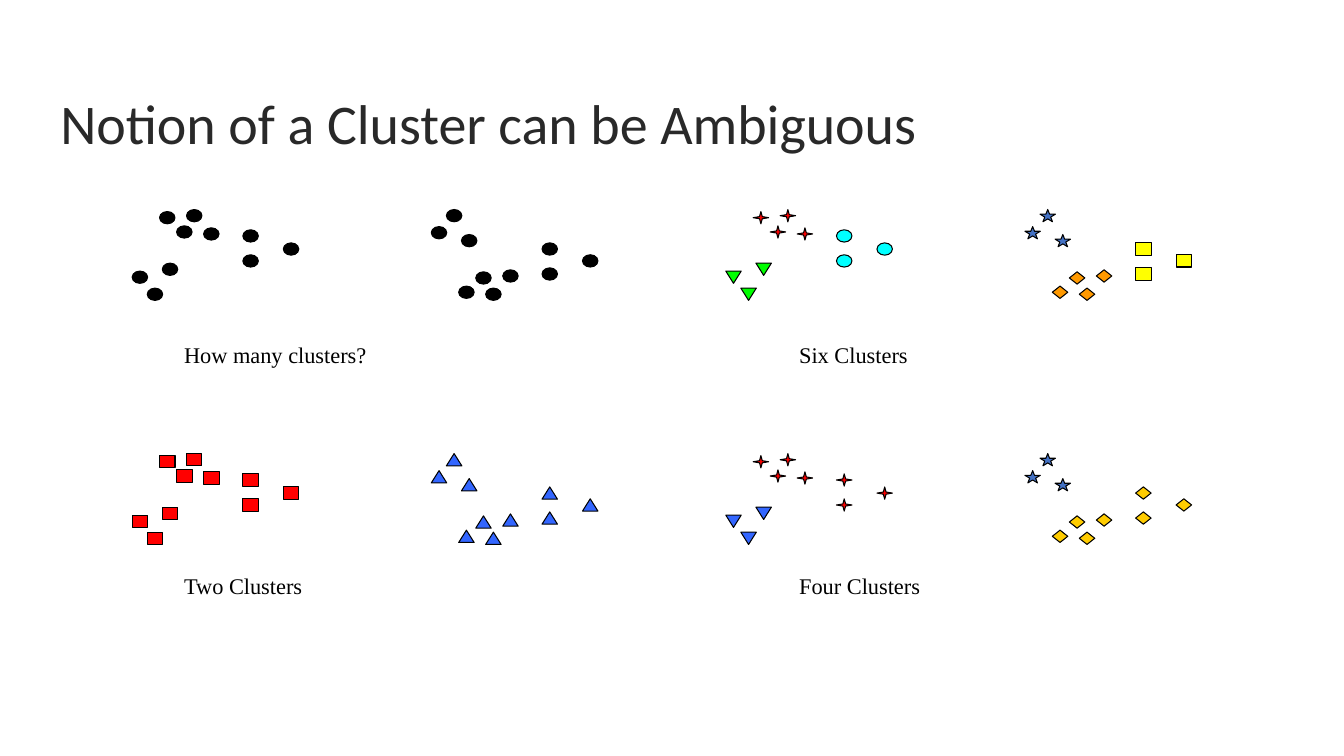
import pptx
import pptx.util
import pptx.dml.color
import pptx.enum.shapes
import pptx.enum.text

Cm = pptx.util.Cm
Pt = pptx.util.Pt
SHAPE = pptx.enum.shapes.MSO_SHAPE
ANCHOR = pptx.enum.text.MSO_ANCHOR
FIT = pptx.enum.text.MSO_AUTO_SIZE

COLORS = {
    "title": "292929", "black": "000000", "red": "FF0000", "blue": "3366FF",
    "steel": "4472C4", "gold": "FFCC00", "orange": "FF9900",
    "yellow": "FFFF00", "green": "00FF00", "cyan": "00FFFF",
}

TITLE = "Notion of a Cluster can be Ambiguous"

# Point positions in cm, by natural cluster, from the corner of a cloud
CLOUD = {
    "near": [(1.8, 0.46), (0.69, 0.05), (1.37, 0), (1.12, 0.41)],
    "corner": [(0.76, 1.35), (0, 1.55), (0.38, 1.98)],
    "far": [(2.79, 0.51), (3.81, 0.84), (2.79, 1.14)],
}
CLOUD_HEIGHT = 1.98
CLOUD_STEP = 7.54
MARKER_WIDTH, MARKER_HEIGHT = 0.39, 0.31

# Markers: (shape, colour)
DOT = (SHAPE.OVAL, "black")
SQUARE = (SHAPE.RECTANGLE, "red")
TRIANGLE = (SHAPE.ISOSCELES_TRIANGLE, "blue")
SPARK = (SHAPE.STAR_4_POINT, "red")
STAR = (SHAPE.STAR_5_POINT, "steel")
GOLD_DIAMOND = (SHAPE.DIAMOND, "gold")

# Panels: caption, column, row, markers (near, corner, far) of both clouds
PANELS = [
    ("How many clusters?", 0, 0, (DOT, DOT, DOT), (DOT, DOT, DOT)),
    ("Six Clusters", 1, 0,
     (SPARK, (SHAPE.ISOSCELES_TRIANGLE, "green"), (SHAPE.OVAL, "cyan")),
     ((SHAPE.DIAMOND, "orange"), STAR, (SHAPE.RECTANGLE, "yellow"))),
    ("Two Clusters", 0, 1, (SQUARE,) * 3, (TRIANGLE,) * 3),
    ("Four Clusters", 1, 1,
     (SPARK, (SHAPE.FLOWCHART_EXTRACT, "blue"), SPARK),
     (GOLD_DIAMOND, STAR, GOLD_DIAMOND)),
]
PANEL_LEFTS, PANEL_TOPS = (3.33, 18.29), (5.28, 11.43)
CAPTION_LEFTS, CAPTION_TOPS = (4.39, 19.89), (8.46, 14.3)


def color(name):
    return pptx.dml.color.RGBColor.from_string(COLORS[name])


def add_text(shapes, text, left, top, width, height, *, font, size, fill,
             anchor=ANCHOR.TOP, fit=FIT.NONE, spacing=1.0):
    box = shapes.add_textbox(Cm(left), Cm(top), Cm(width), Cm(height))
    frame = box.text_frame
    frame.word_wrap = True
    frame.auto_size = fit
    frame.vertical_anchor = anchor
    para = frame.paragraphs[0]
    para.line_spacing = spacing
    span = para.add_run()
    span.text = text
    span.font.name = font
    span.font.size = Pt(size)
    span.font.color.rgb = color(fill)


def add_cloud(shapes, left, top, markers, upturned):
    """Draw ten points; an upturned cloud is mirrored top to bottom."""
    for (kind, fill), points in zip(markers, CLOUD.values()):
        for x, y in points:
            if upturned:
                y = CLOUD_HEIGHT - y
            marker = shapes.add_shape(kind, Cm(left + x), Cm(top + y),
                                      Cm(MARKER_WIDTH), Cm(MARKER_HEIGHT))
            marker.rotation = 0 if upturned else 180
            marker.shadow.inherit = False
            marker.fill.solid()
            marker.fill.fore_color.rgb = color(fill)
            marker.line.color.rgb = color("black")
            marker.line.width = Pt(0.75)


def main():
    deck = pptx.Presentation()
    deck.slide_width, deck.slide_height = Cm(33.87), Cm(19.05)
    page = deck.slides.add_slide(deck.slide_layouts[6])

    # Title
    add_text(page.shapes, TITLE, 1.27, 1.98, 31.67, 2.39, font="Calibri",
             size=40, fill="title", anchor=ANCHOR.MIDDLE, spacing=0.9)

    # Four panels, each with two clouds and a caption
    for caption, column, row, left_markers, right_markers in PANELS:
        panel = page.shapes.add_group_shape()
        left, top = PANEL_LEFTS[column], PANEL_TOPS[row]
        add_cloud(panel.shapes, left + CLOUD_STEP, top, right_markers, True)
        add_cloud(panel.shapes, left, top, left_markers, False)
        add_text(panel.shapes, caption, CAPTION_LEFTS[column],
                 CAPTION_TOPS[row], 8, 0.94, font="Times New Roman",
                 size=16, fill="black", fit=FIT.SHAPE_TO_FIT_TEXT)

    deck.save("out.pptx")


if __name__ == "__main__":
    main()
